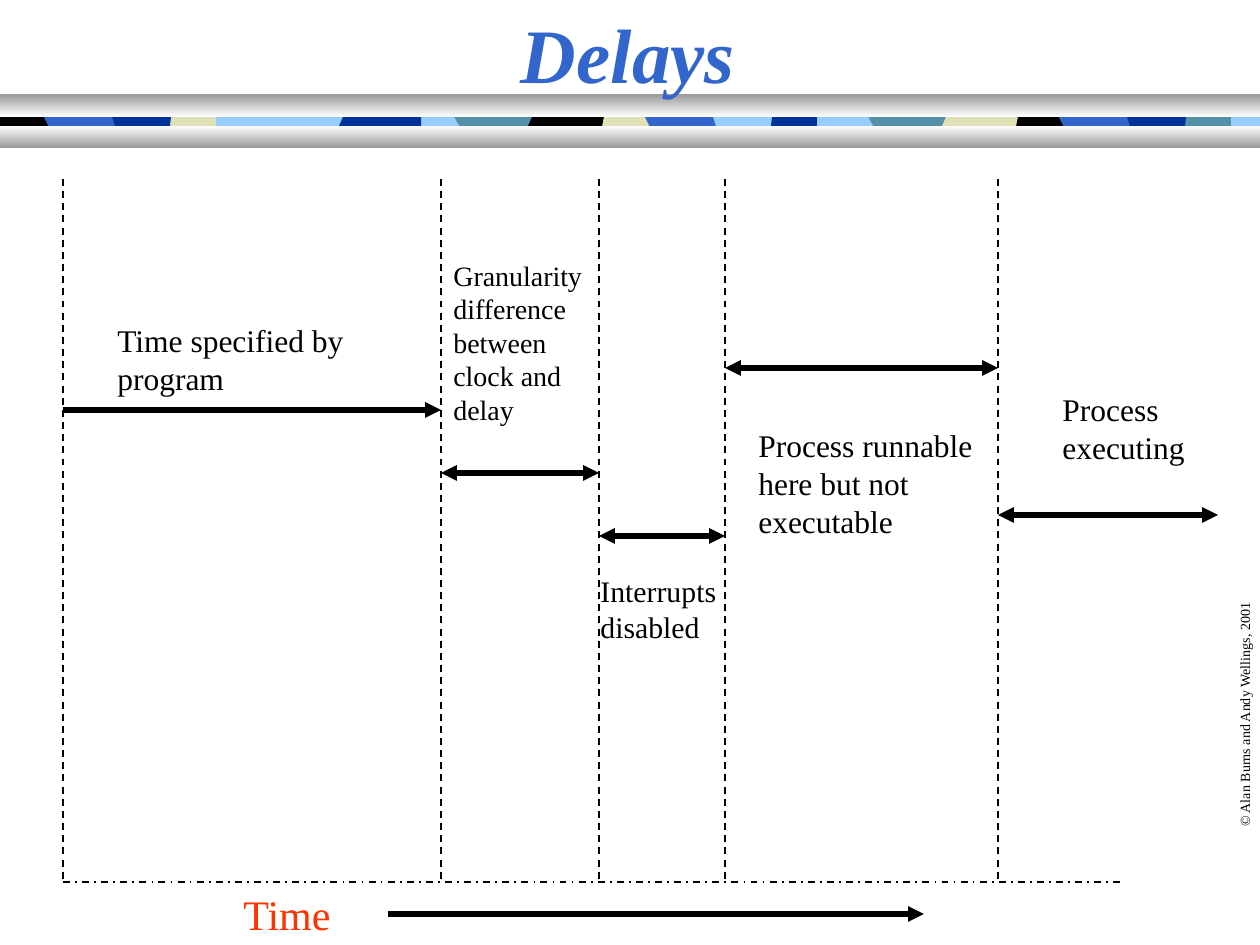
from lxml import etree
from pptx import Presentation
from pptx.dml.color import RGBColor
from pptx.enum.dml import MSO_LINE_DASH_STYLE as Dash
from pptx.enum.shapes import MSO_CONNECTOR as Connector, MSO_SHAPE as Shape
from pptx.enum.text import MSO_ANCHOR as Anchor, MSO_AUTO_SIZE as AutoSize, PP_ALIGN as Align
from pptx.oxml.ns import qn
from pptx.util import Emu, Pt

PX_PER_INCH = 126
FONT = "Times New Roman"
BLACK = RGBColor(0x00, 0x00, 0x00)
WHITE = RGBColor(0xFF, 0xFF, 0xFF)
GREY = RGBColor(0x98, 0x98, 0x98)
BLUE = RGBColor(0x33, 0x66, 0xCC)
NAVY = RGBColor(0x00, 0x33, 0x99)
SKY = RGBColor(0x99, 0xCC, 0xFF)
TEAL = RGBColor(0x54, 0x90, 0xA8)
BEIGE = RGBColor(0xE1, 0xE1, 0xB7)
RED = RGBColor(0xFF, 0x33, 0x00)

STRIP_TOP, STRIP_HEIGHT = 107, 36
# Tile outlines of the ornamental strip, relative to the start of a run.
TILES = [
    [(0, 0), (79, 0), (79, 36), (0, 36), (4, 20), (-3, 8)],
    [(74, 0), (154, 0), (154, 36), (74, 36), (72, 19), (76, 10)],
    [(313, 0), (354, 0), (361, 10), (361, 18), (354, 36), (313, 36), (308, 26), (308, 10)],
    [(154, 0), (209, 0), (209, 36), (154, 36), (146, 20), (148, 10)],
    [(185, 0), (263, 0), (263, 36), (185, 36), (194, 26), (194, 20), (189, 10)],
    [(260, 0), (312, 0), (316, 10), (315, 19), (312, 36), (260, 36), (260, 19), (257, 10)],
]
# Start of each run and the colour of each of its tiles; None skips the tile.
TILE_RUNS = [
    (870, [TEAL, BEIGE, TEAL, BLACK, BLUE, NAVY]),
    (456, [TEAL, BLACK, NAVY, BEIGE, BLUE, SKY]),
    (267, [SKY, NAVY, None, None, None, None]),
    (-145, [None, None, BEIGE, None, BLUE, NAVY]),
]

EVENTS = [63, 441, 599, 725, 998]
EVENTS_TOP, AXIS_Y = 179, 882


def px(value):
    return Emu(round(value * 914400 / PX_PER_INCH))


def box(left, top, width, height):
    return px(left), px(top), px(width), px(height)


def write(frame, text, size, color=BLACK, bold=False, italic=False,
          align=Align.LEFT, anchor=Anchor.TOP, wrap=True, fit=AutoSize.SHAPE_TO_FIT_TEXT):
    frame.word_wrap = wrap
    frame.auto_size = fit
    frame.vertical_anchor = anchor
    paragraph = frame.paragraphs[0]
    paragraph.alignment = align
    run = paragraph.add_run()
    run.text = text
    font = run.font
    font.name, font.size, font.bold, font.italic = FONT, Pt(size), bold, italic
    font.color.rgb = color


def add_label(slide, area, text, size, rotation=0, **text_format):
    label = slide.shapes.add_textbox(*box(*area))
    label.rotation = rotation
    write(label.text_frame, text, size, **text_format)


def add_line(slide, start, end, width=1, dash=None, head=False, tail=False):
    connector = slide.shapes.add_connector(
        Connector.STRAIGHT, *map(px, start), *map(px, end))
    line = connector.line
    line.width = Pt(width)
    line.color.rgb = BLACK
    if dash is not None:
        line.dash_style = dash
    outline = line._get_or_add_ln()
    for present, tag in ((head, "a:headEnd"), (tail, "a:tailEnd")):
        if present:
            etree.SubElement(outline, qn(tag), type="triangle")
    etree.SubElement(connector._element.spPr, qn("a:effectLst"))


def add_tile(slide, points, color):
    (first_x, first_y), *others = [(px(x), px(y)) for x, y in points]
    builder = slide.shapes.build_freeform(first_x, first_y)
    builder.add_line_segments(others, close=True)
    tile = builder.convert_to_shape()
    tile.shadow.inherit = False
    tile.fill.solid()
    tile.fill.fore_color.rgb = color
    tile.line.fill.background()


def add_bar(slide, area, top_color, bottom_color):
    bar = slide.shapes.add_shape(Shape.RECTANGLE, *box(*area))
    bar.shadow.inherit = False
    bar.line.fill.background()
    bar.fill.gradient()
    bar.fill.gradient_angle = 270
    for stop, color in zip(bar.fill.gradient_stops, (top_color, bottom_color)):
        stop.color.rgb = color


def add_header_band(slide):
    bottom = STRIP_TOP + STRIP_HEIGHT
    add_tile(slide, [(4, STRIP_TOP), (1260, STRIP_TOP), (1260, bottom), (4, bottom)], SKY)
    add_tile(slide, [(0, STRIP_TOP), (64, STRIP_TOP), (64, bottom), (0, bottom)], BLACK)
    for start, colors in TILE_RUNS:
        for outline, color in zip(TILES, colors):
            if color is not None:
                add_tile(slide, [(start + x, STRIP_TOP + y) for x, y in outline], color)
    add_bar(slide, (0, 94, 1260, 23), GREY, WHITE)
    add_bar(slide, (0, 126, 1260, 22), WHITE, GREY)


def add_title(slide, text):
    title = slide.shapes.title
    title.left, title.top, title.width, title.height = box(0, 0, 1256, 105)
    write(title.text_frame, text, 44, color=BLUE, bold=True, italic=True,
          align=Align.CENTER, anchor=Anchor.MIDDLE, fit=AutoSize.NONE)
    # The title's descender lies over the band.
    title._element.getparent().append(title._element)


def add_timeline(slide):
    for x in EVENTS:
        add_line(slide, (x, EVENTS_TOP), (x, AXIS_Y), dash=Dash.DASH)
    add_line(slide, (EVENTS[0], AXIS_Y), (1124, AXIS_Y), dash=Dash.DASH_DOT)
    phase_ends = EVENTS[1:] + [1218]
    phase_heights = [410, 473, 536, 368, 515]
    for start, end, y in zip(EVENTS, phase_ends, phase_heights):
        add_line(slide, (start, y), (end, y), width=3, head=start != EVENTS[0], tail=True)
    for area, text, size in [
        ((105, 315, 315, 88), "Time specified by program", 18),
        ((441, 252, 158, 181), "Granularity difference between clock and delay", 16),
        ((588, 567, 147, 84), "Interrupts disabled", 17),
        ((746, 420, 252, 126), "Process runnable here but not executable", 18),
        ((1050, 384, 149, 88), "Process executing", 18),
    ]:
        add_label(slide, area, text, size)
    add_line(slide, (388, 914), (924, 914), width=3, tail=True)
    add_label(slide, (231, 882, 113, 63), "Time", 24, color=RED, wrap=False)


def main():
    deck = Presentation()
    deck.slide_width, deck.slide_height = px(1260), px(945)
    slide = deck.slides.add_slide(deck.slide_layouts[5])
    add_header_band(slide)
    add_label(slide, (1119, 698, 252, 30), "© Alan Burns and Andy Wellings, 2001", 8,
              rotation=270, wrap=False)
    add_title(slide, "Delays")
    add_timeline(slide)
    deck.save("out.pptx")


if __name__ == "__main__":
    main()
